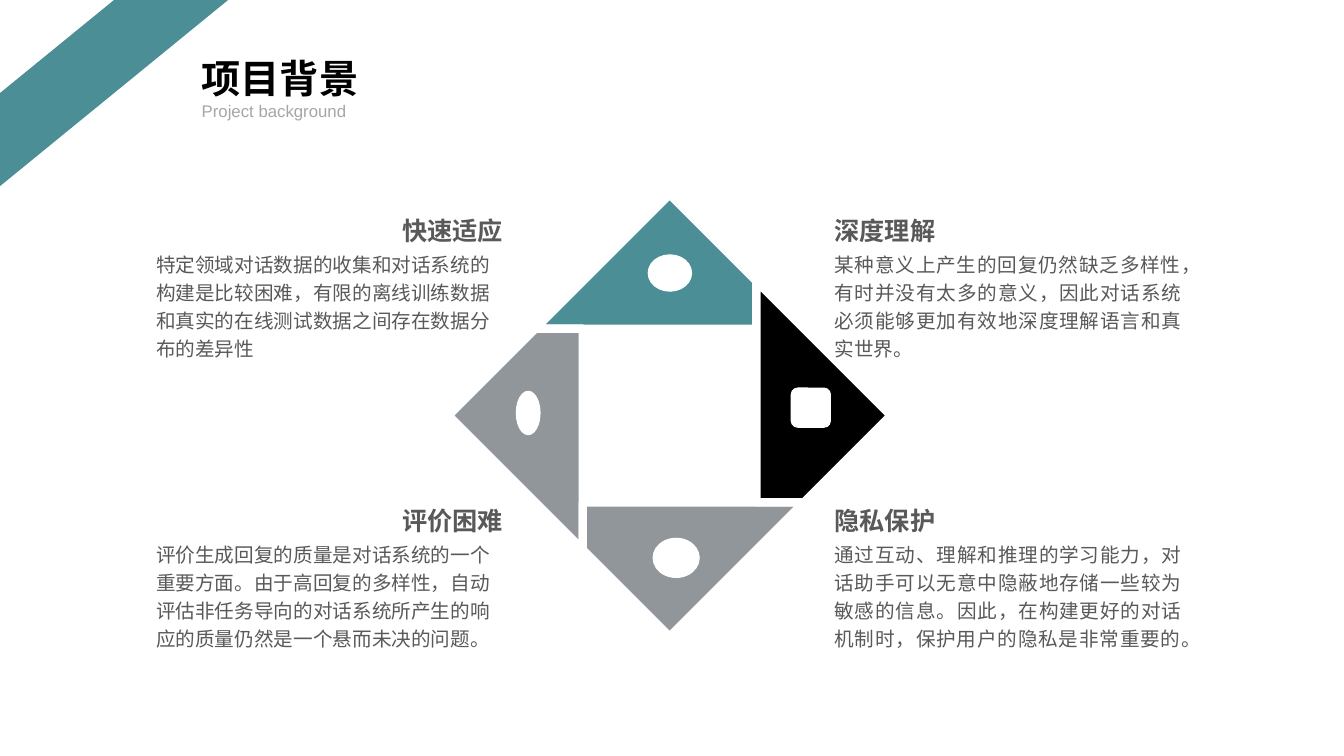
from pptx import Presentation
from pptx.dml.color import RGBColor
from pptx.enum.shapes import MSO_SHAPE as Shape
from pptx.enum.text import MSO_AUTO_SIZE as AutoSize, PP_ALIGN as Align
from pptx.util import Pt

# Content
COLORS = {
    "teal": "4B8E95", "gray": "91969B", "black": "000000",
    "white": "FFFFFF", "body": "595959", "subtitle": "A6A6A6",
}
TITLE = "项目背景"
SUBTITLE = "Project background"
# column, row, heading, body
TOPICS = [
    ("right", "top", "深度理解",
     "某种意义上产生的回复仍然缺乏多样性，有时并没有太多的意义，因此对话系统必须能够更加有效地深度理解语言和真实世界。"),
    ("right", "bottom", "隐私保护",
     "通过互动、理解和推理的学习能力，对话助手可以无意中隐蔽地存储一些较为敏感的信息。因此，在构建更好的对话机制时，保护用户的隐私是非常重要的。"),
    ("left", "top", "快速适应",
     "特定领域对话数据的收集和对话系统的构建是比较困难，有限的离线训练数据和真实的在线测试数据之间存在数据分布的差异性"),
    ("left", "bottom", "评价困难",
     "评价生成回复的质量是对话系统的一个重要方面。由于高回复的多样性，自动评估非任务导向的对话系统所产生的响应的质量仍然是一个悬而未决的问题。"),
]
# clockwise quarter turns from the top, colour; back to front
BLADES = [(0, "teal"), (3, "gray"), (2, "gray"), (1, "black")]
# shape, centre x, centre y, width, height
MARKS = [
    (Shape.OVAL, 377.3, 295, 17, 31),
    (Shape.OVAL, 478.5, 195, 31, 26),
    (Shape.OVAL, 483, 398.5, 33, 28),
    (Shape.ROUNDED_RECTANGLE, 579.2, 291.2, 28, 28),
]

# Layout
CENTER_X, CENTER_Y = 478.3, 296.8
TOP_BLADE = [(0, -158), (62, -96), (62, -62), (-96, -62)]
# heading left, body left, heading alignment, body alignment
COLUMNS = {
    "left": (190, 104.4, Align.RIGHT, Align.LEFT),
    "right": (589, 589, Align.JUSTIFY, Align.JUSTIFY),
}
ROWS = {"top": 146, "bottom": 353}
HEADING_WIDTH, BODY_WIDTH, BODY_DROP = 176.4, 262, 27.6

deck = Presentation()
deck.slide_width, deck.slide_height = Pt(960), Pt(540)
slide = deck.slides.add_slide(deck.slide_layouts[6])


def rgb(name):
    return RGBColor.from_string(COLORS[name])


def paint(shape, color, border=None):
    shape.shadow.inherit = False
    shape.fill.solid()
    shape.fill.fore_color.rgb = rgb(color)
    if border:
        shape.line.color.rgb = rgb("white")
        shape.line.width = Pt(border)
    else:
        shape.line.fill.background()


def turn(point, quarters):
    x, y = point
    for _ in range(quarters):
        x, y = -y, x
    return CENTER_X + x, CENTER_Y + y


def write(text, left, top, width, height, size, color, bold=False,
          align=None, spacing=None, wrap=True):
    box = slide.shapes.add_textbox(Pt(left), Pt(top), Pt(width), Pt(height))
    frame = box.text_frame
    frame.word_wrap = wrap
    frame.auto_size = AutoSize.SHAPE_TO_FIT_TEXT
    paragraph = frame.paragraphs[0]
    paragraph.text = text
    paragraph.alignment = align
    paragraph.line_spacing = spacing
    font = paragraph.font
    font.name, font.size, font.bold = "Arial", Pt(size), bold
    font.color.rgb = rgb(color)


# Corner stripe
stripe = slide.shapes.add_shape(Shape.DIAGONAL_STRIPE, 0, 0, Pt(163), Pt(133))
paint(stripe, "teal")

# Pinwheel diamond: one blade, turned by quarters
for quarters, color in BLADES:
    start, *others = [turn(point, quarters) for point in TOP_BLADE]
    outline = slide.shapes.build_freeform(
        Pt(start[0]), Pt(start[1]), scale=1.0)
    outline.add_line_segments([(Pt(x), Pt(y)) for x, y in others], close=True)
    paint(outline.convert_to_shape(), color, border=6)

# Plain mark on each blade
for kind, x, y, width, height in MARKS:
    mark = slide.shapes.add_shape(
        kind, Pt(x - width / 2), Pt(y - height / 2), Pt(width), Pt(height))
    paint(mark, "white", border=0.75)

# Four topics around the diamond
for column, row, heading, body in TOPICS:
    heading_left, body_left, heading_align, body_align = COLUMNS[column]
    top = ROWS[row]
    write(body, body_left, top + BODY_DROP, BODY_WIDTH, 87, 14, "body",
          align=body_align, spacing=1.2)
    write(heading, heading_left, top, HEADING_WIDTH, 31, 18, "body",
          bold=True, align=heading_align, spacing=1.2)

# Title
write(TITLE, 137, 35.3, 126.7, 41, 28, "black", bold=True, wrap=False)
write(SUBTITLE, 137, 68.4, 399, 21.6, 12, "subtitle")

deck.save("out.pptx")
